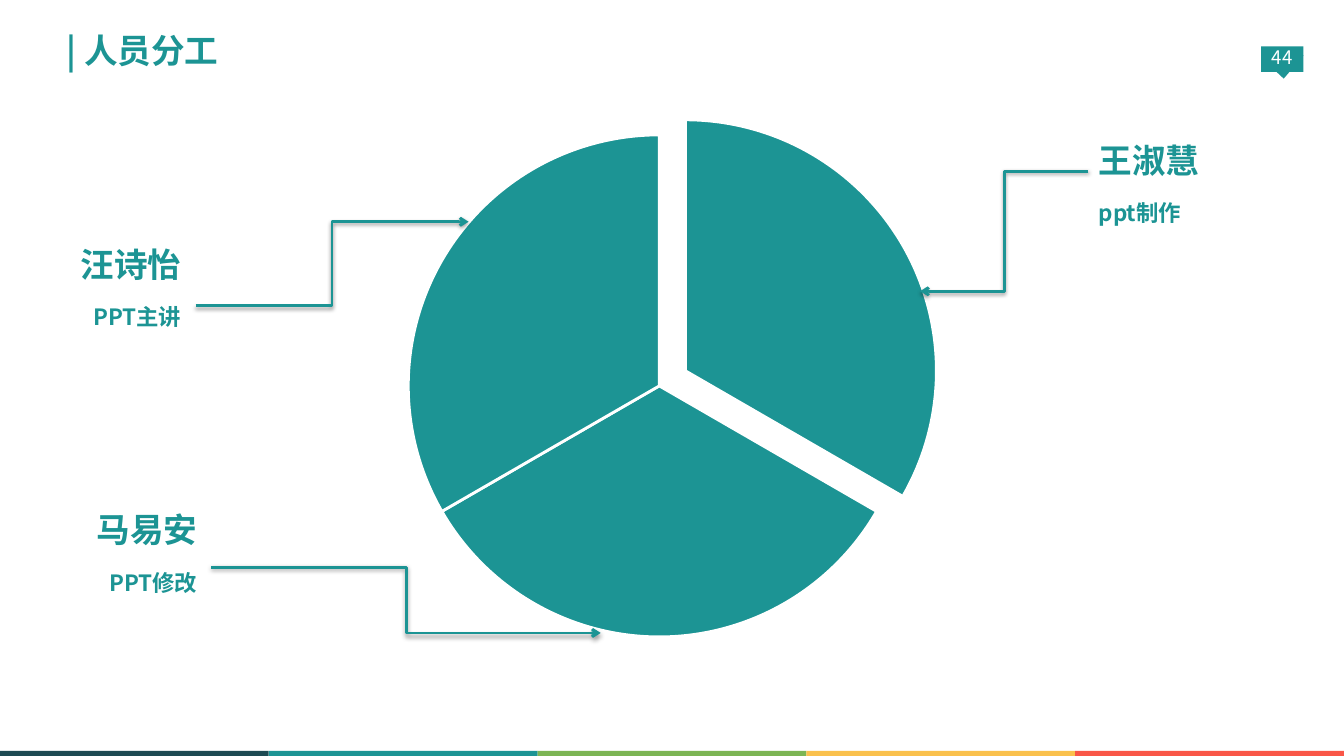
from dataclasses import dataclass

from lxml import etree
from pptx import Presentation
from pptx import util as u
from pptx.dml.color import RGBColor
from pptx.enum import shapes, text
from pptx.oxml import ns, parse_xml

SHAPE = shapes.MSO_SHAPE
ALIGN = text.PP_ALIGN
ANCHOR = text.MSO_ANCHOR


@dataclass(frozen=True)
class Theme:
    """Colours, font and type sizes of the deck."""
    teal: str = "1C9494"
    white: str = "FFFFFF"
    strip: tuple = ("1D4A53", "1C9494", "7CB554", "FAC14D", "F95647")
    font: str = "Noto Sans CJK SC"
    heading: float = 24
    duty: float = 16
    page: float = 13.3
    stroke: float = 2


def write(paragraph, words, *, theme, size, color, bold=True, align=ALIGN.LEFT,
          before=0, spacing=0.9):
    """Put one formatted run into a paragraph."""
    paragraph.alignment = align
    paragraph.space_before = u.Pt(before)
    paragraph.line_spacing = spacing
    run = paragraph.add_run()
    run.text = words
    run.font.size = u.Pt(size)
    run.font.bold = bold
    run.font.color.rgb = RGBColor.from_string(color)
    run.font.name = theme.font
    east_asian = etree.SubElement(run.font._element, ns.qn("a:ea"))
    east_asian.set("typeface", theme.font)


class Canvas:
    """Draw themed elements on the current slide, in centimetres."""

    def __init__(self, slide, theme):
        self.slide = slide
        self.theme = theme

    def block(self, kind, box, color, outline=None, rotation=0, adjust=()):
        """Add a filled preset shape."""
        block = self.slide.shapes.add_shape(kind, *map(u.Cm, box))
        block.shadow.inherit = False
        block.rotation = rotation
        for index, value in enumerate(adjust):
            block.adjustments[index] = value
        block.fill.solid()
        block.fill.fore_color.rgb = RGBColor.from_string(color)
        if outline:
            block.line.color.rgb = RGBColor.from_string(outline)
            block.line.width = u.Pt(self.theme.stroke)
        else:
            block.line.fill.background()

    def label(self, box, lines, anchor=ANCHOR.TOP, right=0.33, bottom=0):
        """Add a text box with one paragraph per (words, format) pair."""
        frame = self.slide.shapes.add_textbox(*map(u.Cm, box)).text_frame
        frame.word_wrap = True
        frame.vertical_anchor = anchor
        frame.margin_left = frame.margin_top = 0
        frame.margin_right = u.Cm(right)
        frame.margin_bottom = u.Cm(bottom)
        for index, (words, style) in enumerate(lines):
            paragraph = frame.add_paragraph() if index else frame.paragraphs[0]
            write(paragraph, words, theme=self.theme, **style)

    def pointer(self, start, end):
        """Add an elbow arrow with a soft shadow."""
        pointer = self.slide.shapes.add_connector(
            shapes.MSO_CONNECTOR.ELBOW, *map(u.Cm, start + end))
        pointer.line.color.rgb = RGBColor.from_string(self.theme.teal)
        pointer.line.width = u.Pt(self.theme.stroke)
        etree.SubElement(pointer.line._get_or_add_ln(), ns.qn("a:tailEnd")).set("type", "arrow")
        pointer._element.spPr.append(parse_xml(
            f'<a:effectLst {ns.nsdecls("a")}>'
            f'<a:outerShdw blurRad="{u.Pt(3.1)}" dist="{u.Pt(1.6)}" dir="5400000" rotWithShape="0">'
            '<a:srgbClr val="000000"><a:alpha val="38000"/></a:srgbClr>'
            '</a:outerShdw></a:effectLst>'))

    def member(self, corner, name, duty, align):
        """Add a team member's name with the duty below."""
        common = {"color": self.theme.teal, "align": align}
        self.label(corner + (4.39, 2.69), [
            (name, {"size": self.theme.heading, **common}),
            (duty, {"size": self.theme.duty, "before": 16, **common}),
        ])


def main():
    """Build the division of work slide."""
    theme = Theme()
    deck = Presentation()
    deck.slide_width, deck.slide_height = u.Cm(33.87), u.Cm(19.05)
    canvas = Canvas(deck.slides.add_slide(deck.slide_layouts[6]), theme)

    canvas.block(SHAPE.RECTANGLE, (31.78, 1.17, 1.07, 0.64), theme.teal)
    canvas.block(SHAPE.ISOSCELES_TRIANGLE, (31.8, 1.42, 1.07, 0.56), theme.teal, rotation=176.8)
    page_style = {"size": theme.page, "color": theme.white, "bold": False,
                  "align": ALIGN.CENTER, "spacing": 1.0}
    canvas.label((31.83, 1.02, 0.97, 1.02), [("44", page_style)],
                 anchor=ANCHOR.MIDDLE, right=0, bottom=0.18)

    band = 33.87 / len(theme.strip)
    for index, color in enumerate(theme.strip):
        canvas.block(SHAPE.RECTANGLE, (index * band, 18.92, band, 0.25), color)

    canvas.label((1.68, 0.86, 25.45, 1.37),
                 [("| 人员分工", {"size": theme.heading, "color": theme.teal})])

    diameter = 12.65
    slices = [((10.95, 3.02), (162, 18)),
              ((10.29, 3.4), (18, 90)),
              ((10.29, 3.4), (90, 162))]
    for corner, angles in slices:
        canvas.block(SHAPE.PIE, corner + (diameter, diameter), theme.teal,
                     outline=theme.white, adjust=angles)

    team = [
        ("王淑慧", "ppt制作", (27.69, 3.63), ALIGN.LEFT, (27.43, 4.32), (23.19, 7.34)),
        ("汪诗怡", "PPT主讲", (0.51, 6.25), ALIGN.RIGHT, (4.93, 7.7), (11.81, 5.59)),
        ("马易安", "PPT修改", (0.91, 12.95), ALIGN.RIGHT, (5.33, 14.3), (15.14, 15.95)),
    ]
    for name, duty, corner, align, start, end in team:
        canvas.pointer(start, end)
        canvas.member(corner, name, duty, align)

    deck.save("out.pptx")


if __name__ == "__main__":
    main()
